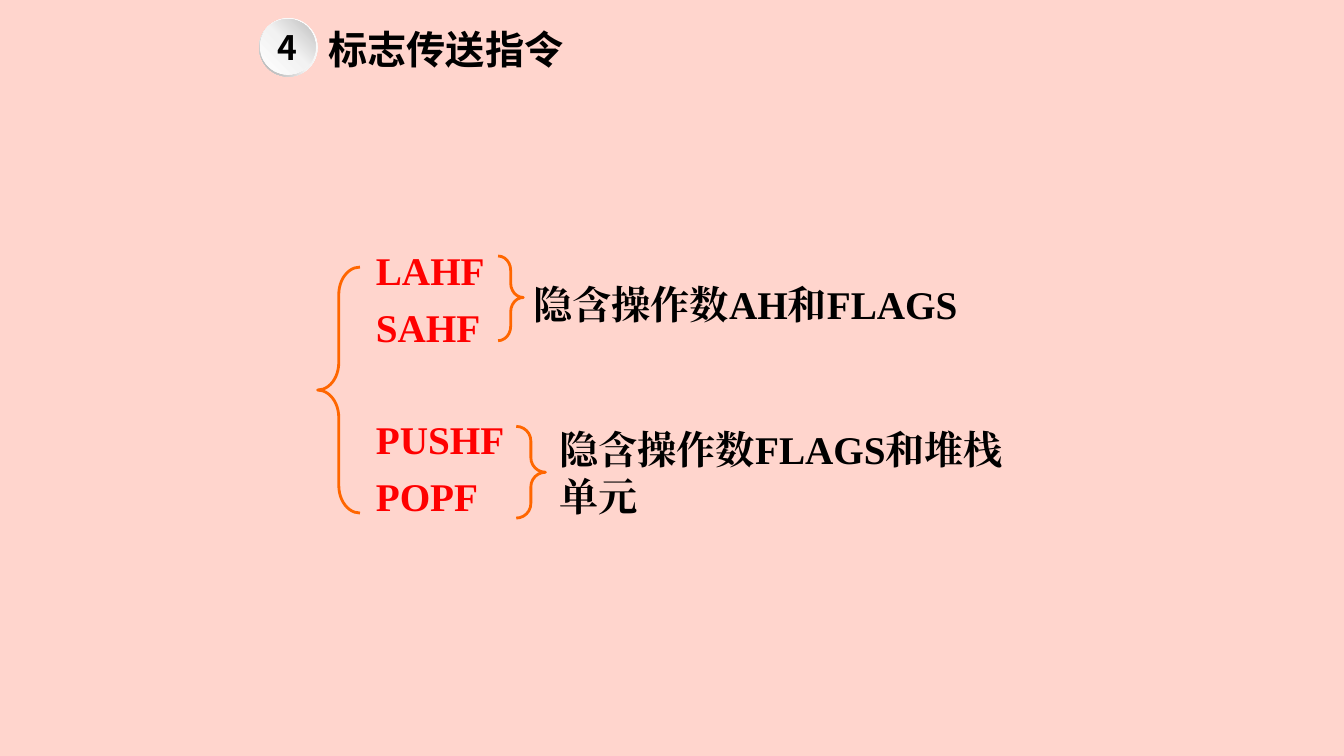
from dataclasses import dataclass

from lxml import etree
from pptx import Presentation
from pptx import util as u
from pptx.dml.color import RGBColor
from pptx.enum import shapes, text
from pptx.oxml import ns

CELL = u.Inches(0.1)  # side of one square of the layout grid


@dataclass(frozen=True)
class Theme:
    background: str = "FFD5CD"
    ink: str = "000000"
    instruction: str = "FF0000"
    brace: str = "FF6600"
    rim: tuple = ((0, "FFFFFF"), (55, "F2F2F2"), (100, "A6A6A6"))
    face: tuple = ((0, "FFFFFF"), (51, "F2F2F2"), (100, "BFBFBF"))
    badge_font: str = "Noto Sans CJK SC"
    title_font: str = "Calibri"
    body_font: str = "Times New Roman"
    badge_size: int = 24
    body_size: int = 28
    brace_width: int = 2


@dataclass(frozen=True)
class Box:
    """A rectangle measured in grid columns and rows."""
    column: float
    row: float
    columns: float
    rows: float

    def inner(self, column, row, columns, rows):
        return Box(self.column + column, self.row + row, columns, rows)

    def lengths(self):
        return [round(cells * CELL) for cells in
                (self.column, self.row, self.columns, self.rows)]


THEME = Theme()


def style_paragraph(paragraph, font_name, size, color):
    for run in paragraph.runs:
        font = run.font
        font.name, font.size, font.bold = font_name, u.Pt(size), True
        font.color.rgb = RGBColor.from_string(color)
        east_asian = etree.SubElement(font._element, ns.qn("a:ea"))
        east_asian.set("typeface", font_name)


def add_text(slide, box, lines, font_name, color, wrap=True):
    frame = slide.shapes.add_textbox(*box.lengths()).text_frame
    frame.word_wrap = wrap
    frame.text = "\n".join(lines)
    for paragraph in frame.paragraphs:
        style_paragraph(paragraph, font_name, THEME.body_size, color)
    return frame


def add_plain_shape(slide, kind, box, adjustments=()):
    shape = slide.shapes.add_shape(kind, *box.lengths())
    shape.shadow.inherit = False
    for index, value in enumerate(adjustments):
        shape.adjustments[index] = value
    return shape


def fill_gradient(shape, stops, clockwise_angle):
    shape.line.fill.background()
    shape.fill.gradient()
    shape.fill.gradient_angle = 360 - clockwise_angle
    stop_list = shape.fill._xPr.find(".//" + ns.qn("a:gsLst"))
    for stop in list(stop_list):
        stop_list.remove(stop)
    for percent, color in stops:
        stop = etree.SubElement(stop_list, ns.qn("a:gs"), pos=str(percent * 1000))
        etree.SubElement(stop, ns.qn("a:srgbClr"), val=color)


def add_brace(slide, kind, box, adjustments):
    brace = add_plain_shape(slide, kind, box, adjustments)
    brace.fill.background()
    brace.line.color.rgb = RGBColor.from_string(THEME.brace)
    brace.line.width = u.Pt(THEME.brace_width)


def add_heading(slide, box, number, title):
    rim = add_plain_shape(slide, shapes.MSO_SHAPE.DONUT,
                          box.inner(0, 0, 5.8, 5.8), [0.05])
    fill_gradient(rim, THEME.rim, 135)
    face = add_plain_shape(slide, shapes.MSO_SHAPE.OVAL,
                           box.inner(0.1, 0.1, 5.5, 5.5))
    fill_gradient(face, THEME.face, 315)
    frame = face.text_frame
    frame.text = number
    frame.vertical_anchor = text.MSO_ANCHOR.MIDDLE
    frame.margin_left = frame.margin_right = 0
    frame.paragraphs[0].alignment = text.PP_ALIGN.CENTER
    style_paragraph(frame.paragraphs[0], THEME.badge_font,
                    THEME.badge_size, THEME.ink)
    add_text(slide, box.inner(5.9, 0.2, 25.3, 5.3), [title],
             THEME.title_font, THEME.ink, wrap=False)


def add_instruction_tree(slide, box):
    names = add_text(slide, box.inner(4.8, 0, 25.8, 30.8),
                     ["LAHF", "SAHF", "PUSHF", "POPF"],
                     THEME.body_font, THEME.instruction)
    line_gap = 0.2 * THEME.body_size
    pair_gap = 45
    for paragraph, gap in zip(names.paragraphs[1:], (line_gap, pair_gap, line_gap)):
        paragraph.space_before = u.Pt(gap)
    for paragraph in names.paragraphs:
        paragraph.line_spacing = 1.04

    add_brace(slide, shapes.MSO_SHAPE.LEFT_BRACE,
              box.inner(0, 2.7, 4.2, 24.4), (0.65, 0.5))
    pairs = (
        ("隐含操作数AH和FLAGS", box.inner(17.9, 1.6, 2.5, 8.4), (0.57, 0.49),
         box.inner(20.4, 3.5, 48.8, 5.7)),
        ("隐含操作数FLAGS和堆栈单元", box.inner(19.7, 18.5, 2.9, 9.1), (0.5, 0.5),
         box.inner(23, 17.9, 49.6, 9.9)),
    )
    for note, brace_box, adjustments, note_box in pairs:
        add_brace(slide, shapes.MSO_SHAPE.RIGHT_BRACE, brace_box, adjustments)
        add_text(slide, note_box, [note], THEME.body_font, THEME.ink)


def main():
    presentation = Presentation()
    presentation.slide_width, presentation.slide_height = u.Inches(13.33), u.Inches(7.5)
    slide = presentation.slides.add_slide(presentation.slide_layouts[6])
    background = slide.background.fill
    background.solid()
    background.fore_color.rgb = RGBColor.from_string(THEME.background)
    add_heading(slide, Box(25.7, 1.8, 31.2, 5.8), "4", "标志传送指令")
    add_instruction_tree(slide, Box(31.5, 23.8, 72.6, 30.8))
    presentation.save("out.pptx")


if __name__ == "__main__":
    main()
